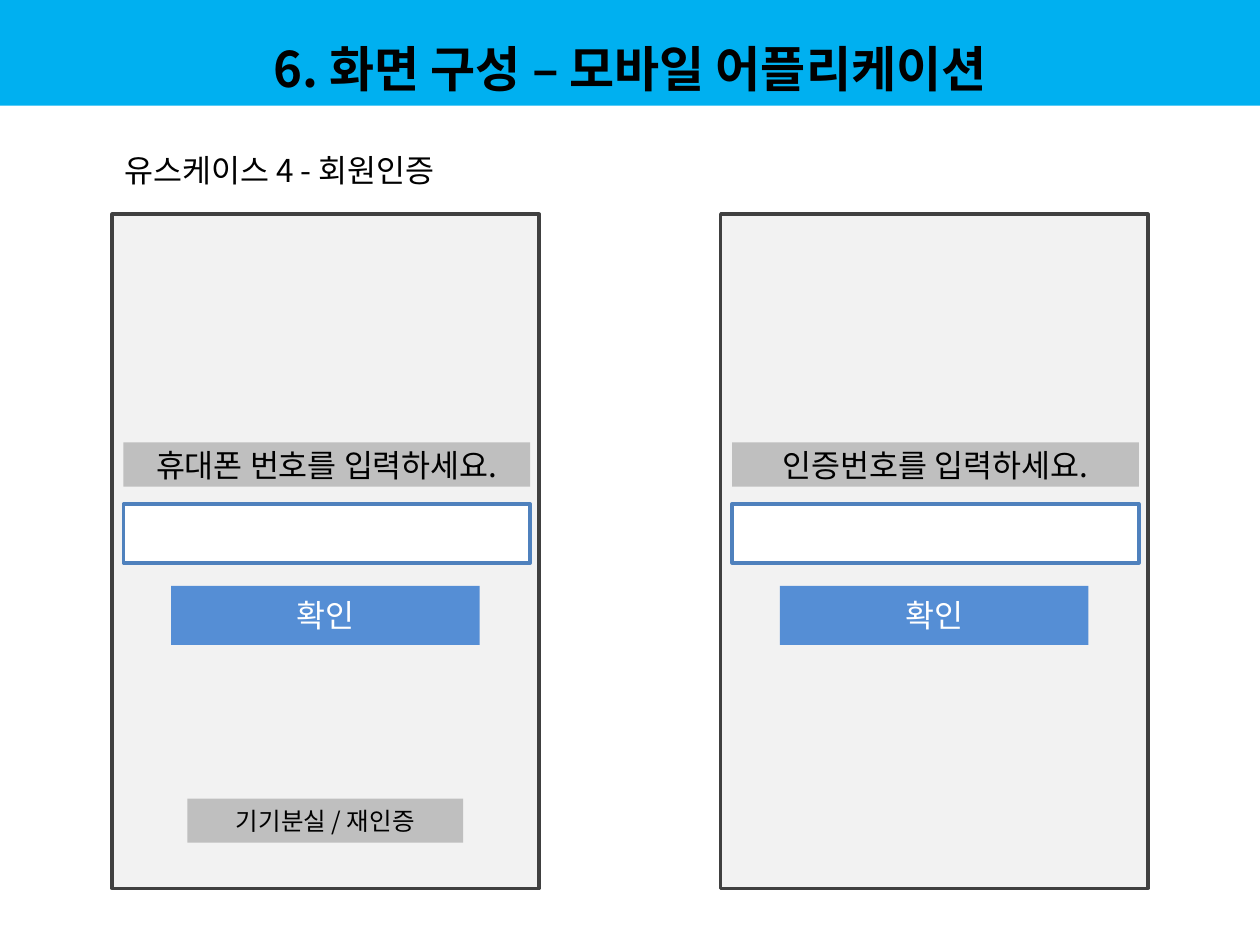
from lxml.etree import SubElement
from pptx import Presentation
from pptx.dml.color import RGBColor
from pptx.enum.shapes import MSO_SHAPE as Preset
from pptx.enum.text import MSO_ANCHOR as Anchor, MSO_AUTO_SIZE as AutoSize, PP_ALIGN as Align
from pptx.oxml.ns import qn
from pptx.util import Cm, Pt

FONT = "Noto Sans CJK KR"
BLACK, WHITE, GREY, BUTTON_BLUE = "000000", "FFFFFF", "BFBFBF", "558ED5"


def set_color(color_format, value):
    """Give a solid fill or a font the colour of a hex string."""
    if hasattr(color_format, "solid"):
        color_format.solid()
        color_format = color_format.fore_color
    color_format.rgb = RGBColor.from_string(value)


def write_text(shape, text, size=18, color=BLACK, align=Align.CENTER, anchor=Anchor.MIDDLE, bold=False):
    """Write one formatted paragraph into a shape."""
    frame = shape.text_frame
    frame_format = {"word_wrap": True, "auto_size": AutoSize.NONE, "vertical_anchor": anchor}
    for name, value in frame_format.items():
        setattr(frame, name, value)
    paragraph = frame.paragraphs[0]
    paragraph.alignment = align
    run = paragraph.add_run()
    run.text = text
    for name, value in {"size": Pt(size), "bold": bold, "name": FONT}.items():
        setattr(run.font, name, value)
    set_color(run.font.color, color)
    SubElement(run._r.get_or_add_rPr(), qn("a:ea"), typeface=FONT)
    return paragraph


def add_box(shapes, left, top, width, height, fill, line=None):
    """Add a flat rectangle, outlined when a line colour is given."""
    shape = shapes.add_shape(Preset.RECTANGLE, Cm(left), Cm(top), Cm(width), Cm(height))
    shape.shadow.inherit = False
    set_color(shape.fill, fill)
    if line:
        set_color(shape.line.fill, line)
        shape.line.width = Pt(2)
    else:
        shape.line.fill.background()
    return shape


def add_title(slide, text):
    """Turn the title placeholder into the banner."""
    title = slide.shapes.title
    position = {"left": Cm(0), "top": Cm(0), "width": Cm(25.4), "height": Cm(2.13)}
    for name, value in position.items():
        setattr(title, name, value)
    set_color(title.fill, "00B0F0")
    write_text(title, text, size=28, bold=True).line_spacing = 1.5


def add_subtitle(slide, text):
    """Add the use case heading."""
    box = slide.shapes.add_textbox(Cm(2.26), Cm(2.92), Cm(12.7), Cm(1.02))
    write_text(box, text, align=Align.LEFT, anchor=Anchor.TOP)


def add_phone_screen(slide, left, prompt, footer=None):
    """Add one grouped phone screen with prompt, input field and button."""
    shapes = slide.shapes.add_group_shape().shapes
    add_box(shapes, left, 4.32, 8.61, 13.59, "F2F2F2", line="404040")
    write_text(add_box(shapes, left + 0.23, 8.92, 8.2, 0.89, GREY), prompt)
    add_box(shapes, left + 0.23, 10.16, 8.2, 1.19, WHITE, line="4F81BD")
    write_text(add_box(shapes, left + 1.19, 11.81, 6.22, 1.19, BUTTON_BLUE), "확인", color=WHITE)
    if footer:
        write_text(add_box(shapes, left + 1.52, 16.1, 5.56, 0.89, GREY), footer, size=14)


def main():
    """Build and save the slide."""
    presentation = Presentation()
    presentation.slide_width, presentation.slide_height = Cm(25.4), Cm(19.05)
    slide = presentation.slides.add_slide(presentation.slide_layouts[5])
    add_title(slide, "6. 화면 구성 – 모바일 어플리케이션")
    add_phone_screen(slide, 2.26, "휴대폰 번호를 입력하세요.", footer="기기분실 / 재인증")
    add_phone_screen(slide, 14.53, "인증번호를 입력하세요.")
    add_subtitle(slide, "유스케이스 4 - 회원인증")
    presentation.save("out.pptx")


if __name__ == "__main__":
    main()
